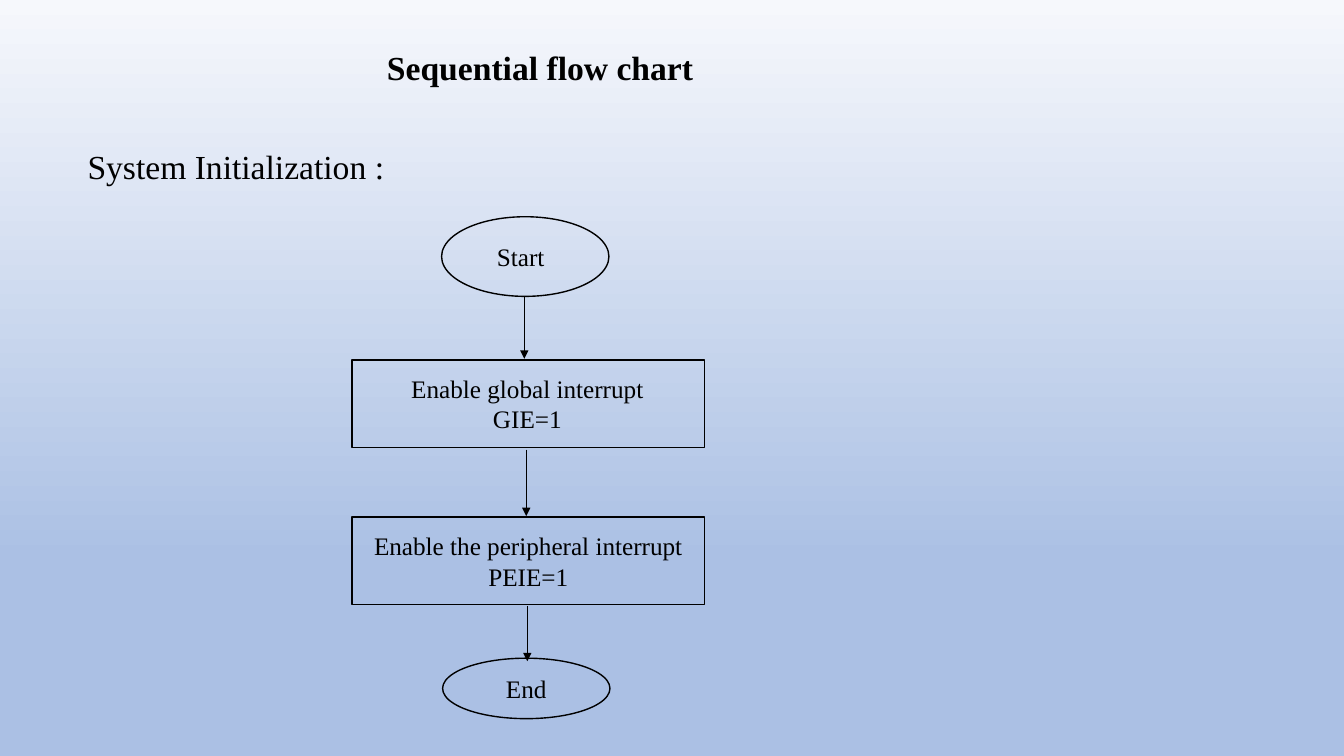
from pptx import Presentation
from pptx.dml.color import RGBColor
from pptx.enum.shapes import MSO_CONNECTOR as Connector, MSO_SHAPE as Shape
from pptx.enum.text import MSO_ANCHOR as Anchor, PP_ALIGN as Align
from pptx.oxml.ns import qn
from pptx.util import Inches, Pt
from lxml.etree import SubElement

BLACK = RGBColor(0x00, 0x00, 0x00)
SKY_TOP = RGBColor(0xF6, 0xF8, 0xFC)
SKY_BOTTOM = RGBColor(0xAB, 0xC0, 0xE4)


def write(frame, text, size=18, bold=False, align=Align.LEFT, anchor=Anchor.TOP,
          spacing=1.0, font="Times New Roman"):
    frame.word_wrap = True
    frame.vertical_anchor = anchor
    for index, line in enumerate(text.split("\n")):
        paragraph = frame.paragraphs[0] if index == 0 else frame.add_paragraph()
        paragraph.alignment = align
        paragraph.line_spacing = spacing
        run = paragraph.add_run()
        run.text = line
        run.font.name = font
        run.font.size = Pt(size)
        run.font.bold = bold
        run.font.color.rgb = BLACK


class FlowSlide:
    line_color = BLACK
    line_width = Pt(1)

    def __init__(self, presentation):
        self.slide = presentation.slides.add_slide(presentation.slide_layouts[6])

    def background(self, *stops):
        fill = self.slide.background.fill
        fill.gradient()
        fill.gradient_angle = 270
        for stop, (position, color) in zip(fill.gradient_stops, stops):
            stop.position = position
            stop.color.rgb = color

    def outline(self, element):
        element.line.color.rgb = self.line_color
        element.line.width = self.line_width

    def label(self, text, left, top, width, height, **style):
        box = self.slide.shapes.add_textbox(
            Inches(left), Inches(top), Inches(width), Inches(height))
        write(box.text_frame, text, **style)

    def step(self, kind, left, top, width, height, text=""):
        node = self.slide.shapes.add_shape(
            kind, Inches(left), Inches(top), Inches(width), Inches(height))
        node.shadow.inherit = False
        node.fill.background()
        self.outline(node)
        if text:
            write(node.text_frame, text, align=Align.CENTER, anchor=Anchor.MIDDLE)

    def arrow_down(self, x, start, end):
        arrow = self.slide.shapes.add_connector(
            Connector.STRAIGHT, Inches(x), Inches(start), Inches(x), Inches(end))
        self.outline(arrow)
        SubElement(arrow.line._get_or_add_ln(), qn("a:tailEnd"), type="triangle")
        SubElement(arrow._element.spPr, qn("a:effectLst"))


presentation = Presentation()
presentation.slide_width = Inches(13.33)
presentation.slide_height = Inches(7.5)

flow = FlowSlide(presentation)
flow.background((0, SKY_TOP), (0.74, SKY_BOTTOM))

flow.label("Sequential flow chart", 3.74, 0.24, 3.94, 0.9,
           size=24, bold=True, anchor=Anchor.MIDDLE, spacing=0.9)
flow.label("System Initialization :", 0.77, 1.4, 3.5, 0.5, size=24)

flow.step(Shape.OVAL, 4.38, 2.15, 1.66, 0.79)
flow.label("Start", 4.83, 2.34, 0.88, 0.4)
flow.step(Shape.RECTANGLE, 3.49, 3.57, 3.5, 0.87)
flow.label("Enable global interrupt\nGIE=1", 3.69, 3.65, 3.08, 0.71, align=Align.CENTER)
flow.step(Shape.RECTANGLE, 3.49, 5.13, 3.5, 0.87,
          "Enable the peripheral interrupt\nPEIE=1")
flow.step(Shape.OVAL, 4.39, 6.53, 1.66, 0.6, "End")

for x, start, end in ((5.2, 2.95, 3.56), (5.22, 4.46, 5.12), (5.23, 6.01, 6.56)):
    flow.arrow_down(x, start, end)

presentation.save("out.pptx")
